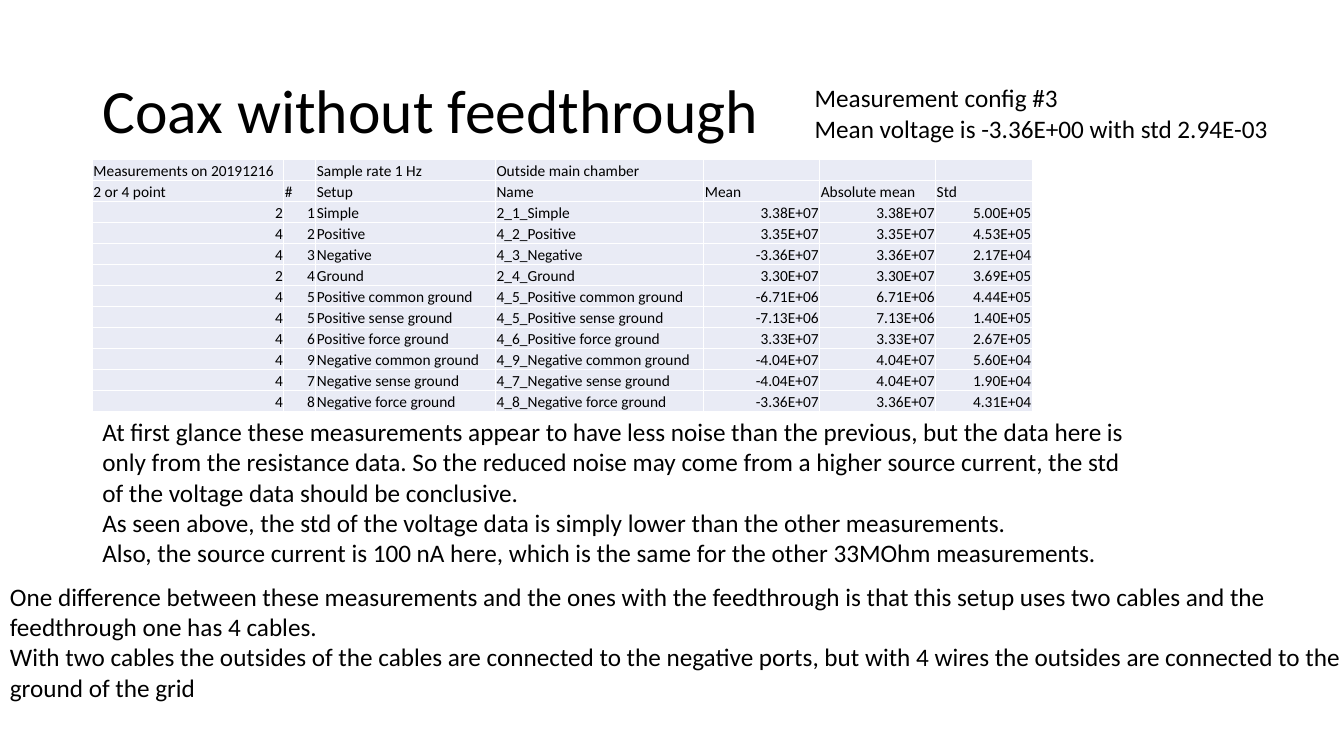
"""Build the slide that reports the coax measurements without feedthrough."""
import lxml.etree
import pptx
import pptx.dml.color
import pptx.enum.text
import pptx.oxml.ns
import pptx.util

BLACK = pptx.dml.color.RGBColor(0x00, 0x00, 0x00)
WHITE = pptx.dml.color.RGBColor(0xFF, 0xFF, 0xFF)
PALE_BLUE = pptx.dml.color.RGBColor(0xE9, 0xEB, 0xF5)
ANCHOR = pptx.enum.text.MSO_ANCHOR
ALIGN = pptx.enum.text.PP_ALIGN
AUTO_SIZE = pptx.enum.text.MSO_AUTO_SIZE

GRID_COLUMNS, GRID_ROWS = 160, 90
LEFT_COLUMN = 11
TABLE_TOP, TABLE_ROW = 19, 2.5
TABLE_COLUMNS = [22.8, 3.8, 21.4, 24.8, 13.8, 13.8, 11.5]
NUMBER_COLUMNS = {0, 1, 4, 5, 6}

HEADINGS = [
    ["Measurements on 20191216", "", "Sample rate 1 Hz", "Outside main chamber", "", "", ""],
    ["2 or 4 point", "#", "Setup", "Name", "Mean", "Absolute mean", "Std"],
]
MEASUREMENTS = [
    ("2", "1", "Simple", "3.38E+07", "5.00E+05"),
    ("4", "2", "Positive", "3.35E+07", "4.53E+05"),
    ("4", "3", "Negative", "-3.36E+07", "2.17E+04"),
    ("2", "4", "Ground", "3.30E+07", "3.69E+05"),
    ("4", "5", "Positive common ground", "-6.71E+06", "4.44E+05"),
    ("4", "5", "Positive sense ground", "-7.13E+06", "1.40E+05"),
    ("4", "6", "Positive force ground", "3.33E+07", "2.67E+05"),
    ("4", "9", "Negative common ground", "-4.04E+07", "5.60E+04"),
    ("4", "7", "Negative sense ground", "-4.04E+07", "1.90E+04"),
    ("4", "8", "Negative force ground", "-3.36E+07", "4.31E+04"),
]
CONFIGURATION = [
    "Measurement config #3",
    "Mean voltage is -3.36E+00 with std 2.94E-03 ",
]
NOISE_REMARKS = [
    "At first glance these measurements appear to have less noise than the previous, "
    "but the data here is only from the resistance data. So the reduced noise may come "
    "from a higher source current, the std of the voltage data should be conclusive.",
    "As seen above, the std of the voltage data is simply lower than the other measurements.",
    "Also, the source current is 100 nA here, which is the same for the other 33MOhm measurements.",
]
CABLE_REMARKS = [
    "One difference between these measurements and the ones with the feedthrough is that "
    "this setup uses two cables and the feedthrough one has 4 cables.",
    "With two cables the outsides of the cables are connected to the negative ports, "
    "but with 4 wires the outsides are connected to the ground of the grid",
]


class SlideBuilder:
    """Hold the style and the current slide, and place elements on its grid."""

    font_name = "Calibri"
    title_size, body_size, table_size = 44, 18, 11
    border_width = pptx.util.Pt(1)
    cell_margin = pptx.util.Inches(0.01)

    def __init__(self, presentation):
        """Add a blank slide and measure the grid."""
        self.slide = presentation.slides.add_slide(presentation.slide_layouts[6])
        self.column = presentation.slide_width / GRID_COLUMNS
        self.row = presentation.slide_height / GRID_ROWS

    def place(self, left, top, width, height):
        """Turn grid columns and rows into slide lengths."""
        return (int(left * self.column), int(top * self.row),
                int(width * self.column), int(height * self.row))

    def format_runs(self, paragraph, size):
        """Give every run of a paragraph the slide's font."""
        for run in paragraph.runs:
            run.font.name = self.font_name
            run.font.size = pptx.util.Pt(size)
            run.font.color.rgb = BLACK

    def text(self, lines, area, size=body_size, wrap=True):
        """Add a text box with one paragraph per line."""
        frame = self.slide.shapes.add_textbox(*self.place(*area)).text_frame
        frame.text = "\n".join(lines)
        frame.word_wrap = wrap
        frame.auto_size = AUTO_SIZE.SHAPE_TO_FIT_TEXT
        for paragraph in frame.paragraphs:
            self.format_runs(paragraph, size)
        return frame

    def title(self, wording, area):
        """Add the title, centred in the height of its area."""
        frame = self.text([wording], area, self.title_size)
        frame.auto_size = AUTO_SIZE.NONE
        frame.vertical_anchor = ANCHOR.MIDDLE
        frame.paragraphs[0].line_spacing = 0.9

    def borders(self, cell):
        """Draw the four white borders of a cell."""
        properties = cell._tc.get_or_add_tcPr()
        for side in ("a:lnL", "a:lnR", "a:lnT", "a:lnB"):
            line = lxml.etree.SubElement(
                properties, pptx.oxml.ns.qn(side), w=str(self.border_width))
            fill = lxml.etree.SubElement(line, pptx.oxml.ns.qn("a:solidFill"))
            lxml.etree.SubElement(fill, pptx.oxml.ns.qn("a:srgbClr"), val=str(WHITE))

    def cell(self, cell, wording, alignment):
        """Fill and format one table cell."""
        self.borders(cell)
        cell.fill.solid()
        cell.fill.fore_color.rgb = PALE_BLUE
        cell.vertical_anchor = ANCHOR.BOTTOM
        cell.margin_left = cell.margin_right = cell.margin_top = self.cell_margin
        cell.margin_bottom = 0
        paragraph = cell.text_frame.paragraphs[0]
        paragraph.text = wording
        paragraph.alignment = alignment
        self.format_runs(paragraph, self.table_size)
        if not wording:
            paragraph._p.get_or_add_endParaRPr().set("sz", str(self.table_size * 100))

    def table(self, rows, left, top, widths, row_height):
        """Add a table whose number columns align right below the headings."""
        area = self.place(left, top, sum(widths), row_height * len(rows))
        table = self.slide.shapes.add_table(len(rows), len(widths), *area).table
        table.first_row = table.horz_banding = False
        for column, width in zip(table.columns, widths):
            column.width = int(width * self.column)
        for row_index, wordings in enumerate(rows):
            table.rows[row_index].height = int(row_height * self.row)
            for column_index, wording in enumerate(wordings):
                is_number = row_index >= len(HEADINGS) and column_index in NUMBER_COLUMNS
                self.cell(table.cell(row_index, column_index), wording,
                          ALIGN.RIGHT if is_number else ALIGN.LEFT)


def measurement_rows():
    """Derive the name and the absolute mean of each measurement."""
    return [[points, number, setup, f"{points}_{number}_{setup}", mean, mean.lstrip("-"), std]
            for points, number, setup, mean, std in MEASUREMENTS]


presentation = pptx.Presentation()
presentation.slide_width = pptx.util.Inches(13.33)
presentation.slide_height = pptx.util.Inches(7.5)

builder = SlideBuilder(presentation)
builder.title("Coax without feedthrough", (LEFT_COLUMN, 4.8, 138, 17.4))
builder.table(HEADINGS + measurement_rows(), LEFT_COLUMN, TABLE_TOP, TABLE_COLUMNS, TABLE_ROW)
builder.text(NOISE_REMARKS, (LEFT_COLUMN, 49, 125.3, 23))
builder.text(CONFIGURATION, (95.8, 9.25, 57.6, 8.5), wrap=False)
builder.text(CABLE_REMARKS, (0, 68.6, 163.2, 15.7))

presentation.save("out.pptx")
